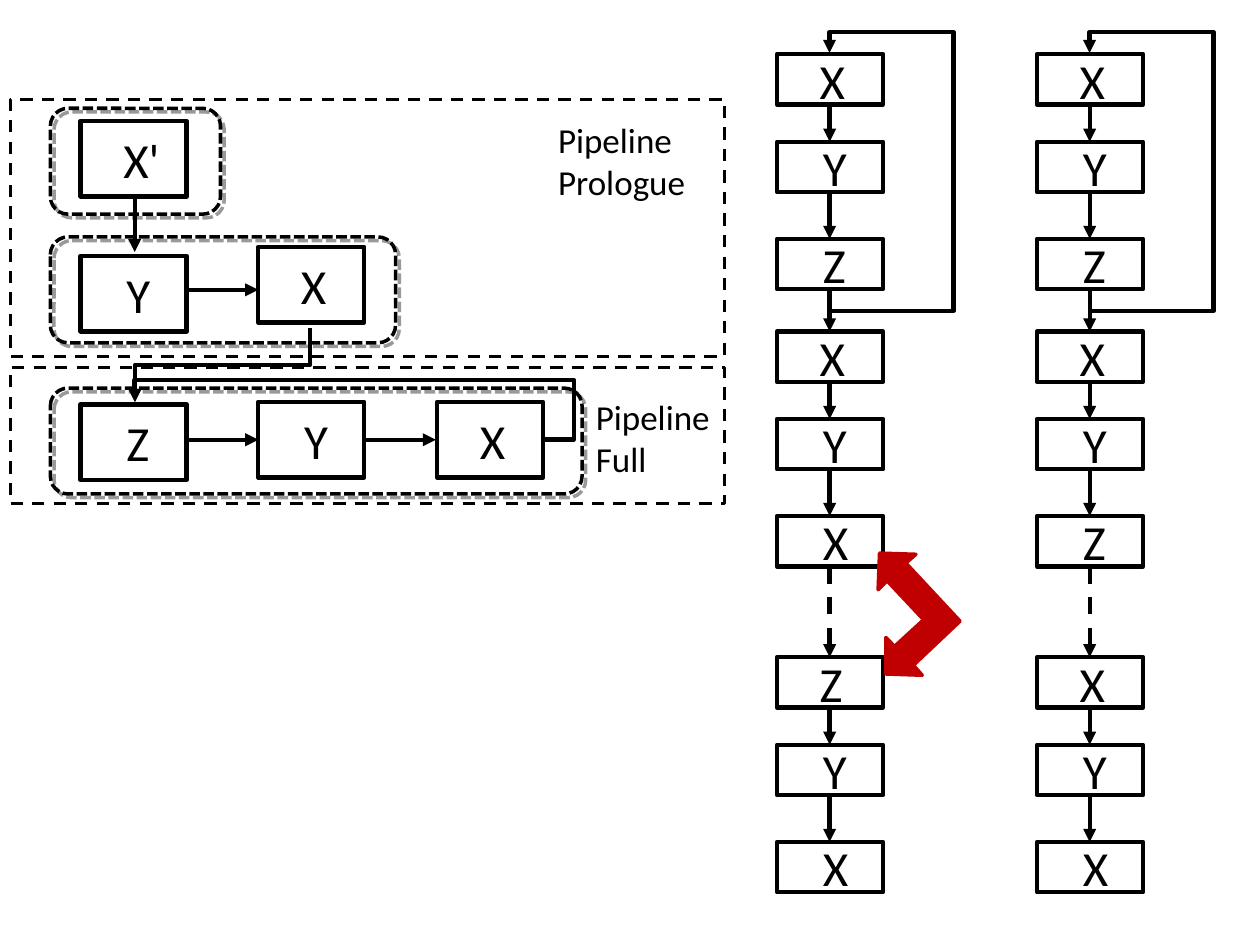
from dataclasses import dataclass
from itertools import pairwise

from lxml import etree
from pptx import Presentation
from pptx.dml.color import RGBColor
from pptx.enum.dml import MSO_LINE
from pptx.enum.shapes import MSO_CONNECTOR, MSO_SHAPE
from pptx.enum.text import MSO_ANCHOR, PP_ALIGN
from pptx.oxml.ns import qn
from pptx.util import Pt

RECTANGLE, ROUNDED = MSO_SHAPE.RECTANGLE, MSO_SHAPE.ROUNDED_RECTANGLE
STRAIGHT, ELBOW = MSO_CONNECTOR.STRAIGHT, MSO_CONNECTOR.ELBOW
DASH, SHORT_DASH = MSO_LINE.DASH, MSO_LINE.SQUARE_DOT
MIDDLE, LEFT = MSO_ANCHOR.MIDDLE, PP_ALIGN.LEFT


@dataclass(frozen=True)
class Theme:
    font: str = "Calibri"
    ink: RGBColor = RGBColor(0, 0, 0)
    accent: RGBColor = RGBColor(0xC0, 0, 0)
    stage_size: float = 28
    label_size: float = 20
    stroke: float = 2.5
    group_stroke: float = 2
    region_stroke: float = 1.75


THEME = Theme()
STAGE_WIDTH = 60.6
NARROW, WIDE = 24.4, 26.2  # left text margins inside a stage box

# Stacked columns: three groups of three stages each
GROUP_TOPS = (31, 189.4, 375.6)
STAGE_OFFSETS = (0, 50, 105.5)
STACK_HEIGHT = 28.8


def set_line(line, width, dash=None, color=THEME.ink):
    line.color.rgb = color
    line.width = Pt(width)
    if dash is not None:
        line.dash_style = dash


def style_text(frame, text, size):
    frame.word_wrap = True
    frame.text = text
    for para in frame.paragraphs:
        para.alignment = LEFT
        para.font.name = THEME.font
        para.font.size = Pt(size)
        para.font.color.rgb = THEME.ink


def add_outline(page, kind, left, top, width, height, stroke, dash=None):
    box = page.shapes.add_shape(kind, Pt(left), Pt(top), Pt(width), Pt(height))
    box.shadow.inherit = False
    box.fill.background()
    set_line(box.line, stroke, dash)
    return box


def add_group(page, top, width):
    """Rounded dashed outline with a hard offset shadow."""
    box = add_outline(page, ROUNDED, 28.8, top, width, 60.5,
                      THEME.group_stroke, SHORT_DASH)
    effects = box._element.spPr.find(qn("a:effectLst"))
    shadow = etree.SubElement(effects, qn("a:outerShdw"), blurRad="0",
                              dist=str(Pt(3)), dir="2700000", rotWithShape="0")
    color = etree.SubElement(shadow, qn("a:srgbClr"), val=str(THEME.ink))
    etree.SubElement(color, qn("a:alpha"), val="40000")


def add_stage(page, name, left, top, height, margin):
    box = add_outline(page, RECTANGLE, left, top, STAGE_WIDTH, height, THEME.stroke)
    frame = box.text_frame
    frame.vertical_anchor = MIDDLE
    frame.margin_left = Pt(margin)
    style_text(frame, name, THEME.stage_size)


def add_label(page, text, left, top, width):
    box = page.shapes.add_textbox(Pt(left), Pt(top), Pt(width), Pt(55.7))
    style_text(box.text_frame, text, THEME.label_size)


def add_arrow(page, begin, end, dash=None, kind=STRAIGHT):
    arrow = page.shapes.add_connector(kind, *map(Pt, begin + end))
    set_line(arrow.line, THEME.stroke, dash)
    etree.SubElement(arrow.line._get_or_add_ln(), qn("a:tailEnd"), type="triangle")
    etree.SubElement(arrow._element.spPr, qn("a:effectLst"))
    return arrow


def add_elbow(page, begin, end, adjustments, rotation=0):
    """Bent arrow; begin and end are given before rotation in degrees."""
    properties = add_arrow(page, begin, end, kind=ELBOW)._element.spPr
    if rotation:
        properties.find(qn("a:xfrm")).set("rot", str(rotation * 60000))
    geometry = properties.find(qn("a:prstGeom"))
    geometry.set("prst", f"bentConnector{len(adjustments) + 2}")
    guides = geometry.find(qn("a:avLst"))
    for number, value in enumerate(adjustments, 1):
        etree.SubElement(guides, qn("a:gd"), name=f"adj{number}",
                         fmla=f"val {round(value * 100000)}")


def add_pipeline(page):
    # Regions and stage groups
    for top, height in ((56.9, 146.9), (210.2, 77.8)):
        add_outline(page, RECTANGLE, 5.8, top, 408.2, height,
                    THEME.region_stroke, DASH)
    for top, width in ((221.8, 303.8), (135.4, 197.3), (61.9, 97.2)):
        add_group(page, top, width)

    # Flow between stages
    add_arrow(page, (77, 113.8), (77, 144))
    for begin, end, y in ((107.3, 147.6, 165.6), (107.3, 147.6, 251.3),
                          (207.4, 249.1, 251.3)):
        add_arrow(page, (begin, y), (end, y))
    add_elbow(page, (106, 158.4), (148.5, 258.5), (0.5,), 90)
    add_elbow(page, (309.4, 251.3), (77, 229.7), (-0.08, 1.581))

    add_label(page, "Pipeline\nPrologue", 311.8, 64.1, 97.9)
    add_label(page, "Pipeline\nFull", 333.4, 222.5, 86.4)

    # Stages
    for name, left, top, margin in (
        ("X'", 46.1, 69.1, NARROW),
        ("Y", 46.1, 146.2, WIDE), ("X", 147.6, 141.1, NARROW),
        ("Z", 46.1, 231.1, WIDE), ("Y", 147.6, 229.7, WIDE),
        ("X", 249.8, 229.7, NARROW),
    ):
        add_stage(page, name, left, top, 43.2, margin)


def add_stack(page, names, left):
    tops = [group + offset for group in GROUP_TOPS for offset in STAGE_OFFSETS]
    for index, (name, top) in enumerate(zip(names, tops)):
        add_stage(page, name, left, top, STACK_HEIGHT, WIDE if index % 3 else NARROW)

    # Arrows downwards, dashed where stages are skipped
    center = left + 30.1
    for index, (top, following) in enumerate(pairwise(tops)):
        add_arrow(page, (center, top + STACK_HEIGHT), (center, following),
                  DASH if index == 5 else None)

    # Loop back around the first group
    add_elbow(page, (center - 67.7, 98.07), (center + 67.7, 97.9),
              (-0.088, -415.8, 1.088), 270)


def add_swap_arrow(page):
    """Double-headed bent arrow between the swapped stages."""
    outline = ((506.2, 385.2), (506.2, 364.3), (511.2, 369.4), (527.8, 354.2),
               (506.9, 331.9), (501.8, 337), (502.6, 316.1), (523.4, 316.8),
               (517.7, 321.8), (548.6, 355), (522, 380.2), (527, 385.9))
    points = [(Pt(x), Pt(y)) for x, y in outline]
    builder = page.shapes.build_freeform(*points[0])
    builder.add_line_segments(points[1:], close=True)
    arrow = builder.convert_to_shape()
    arrow.shadow.inherit = False
    arrow.fill.solid()
    arrow.fill.fore_color.rgb = THEME.accent
    set_line(arrow.line, THEME.group_stroke, color=THEME.accent)


def main():
    deck = Presentation()
    deck.slide_width, deck.slide_height = Pt(720), Pt(540)
    page = deck.slides.add_slide(deck.slide_layouts[6])
    add_pipeline(page)
    add_stack(page, "XYZXYXZYX", 444)
    add_stack(page, "XYZXYZXYX", 592.6)
    add_swap_arrow(page)
    deck.save("out.pptx")


if __name__ == "__main__":
    main()
